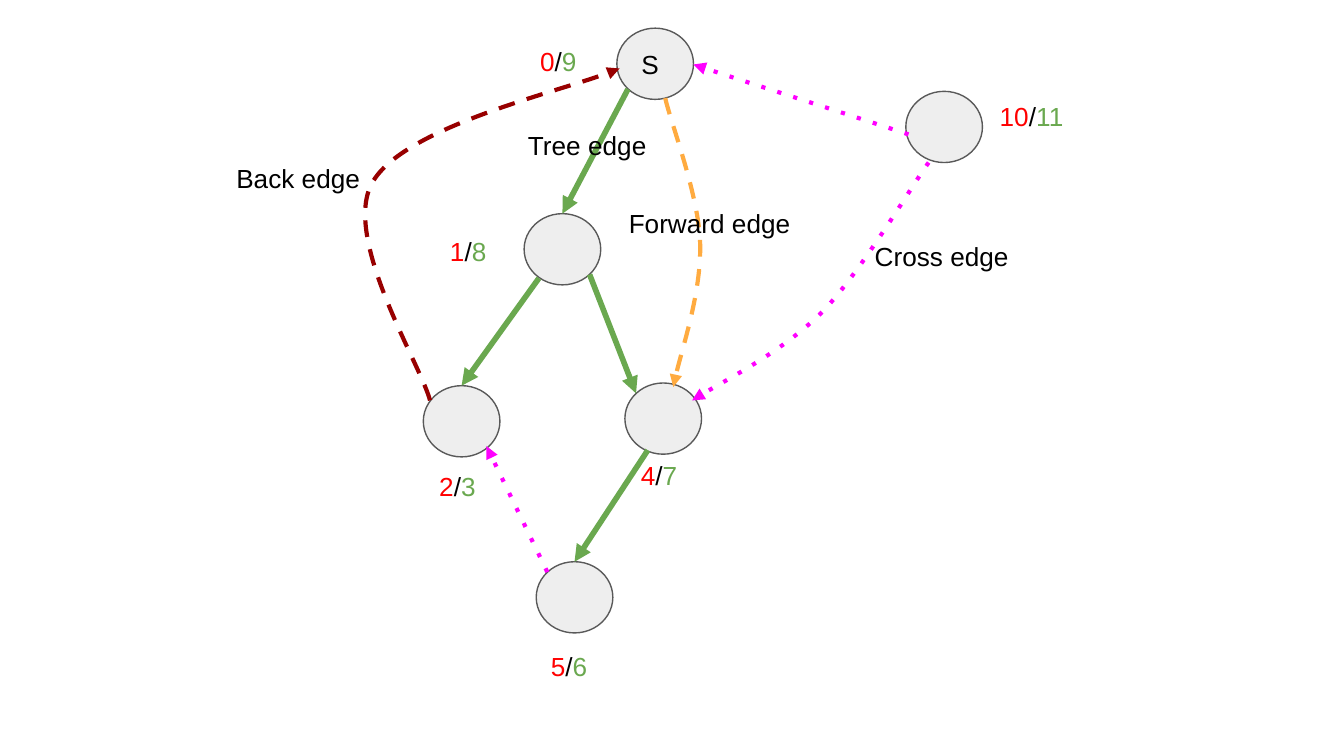
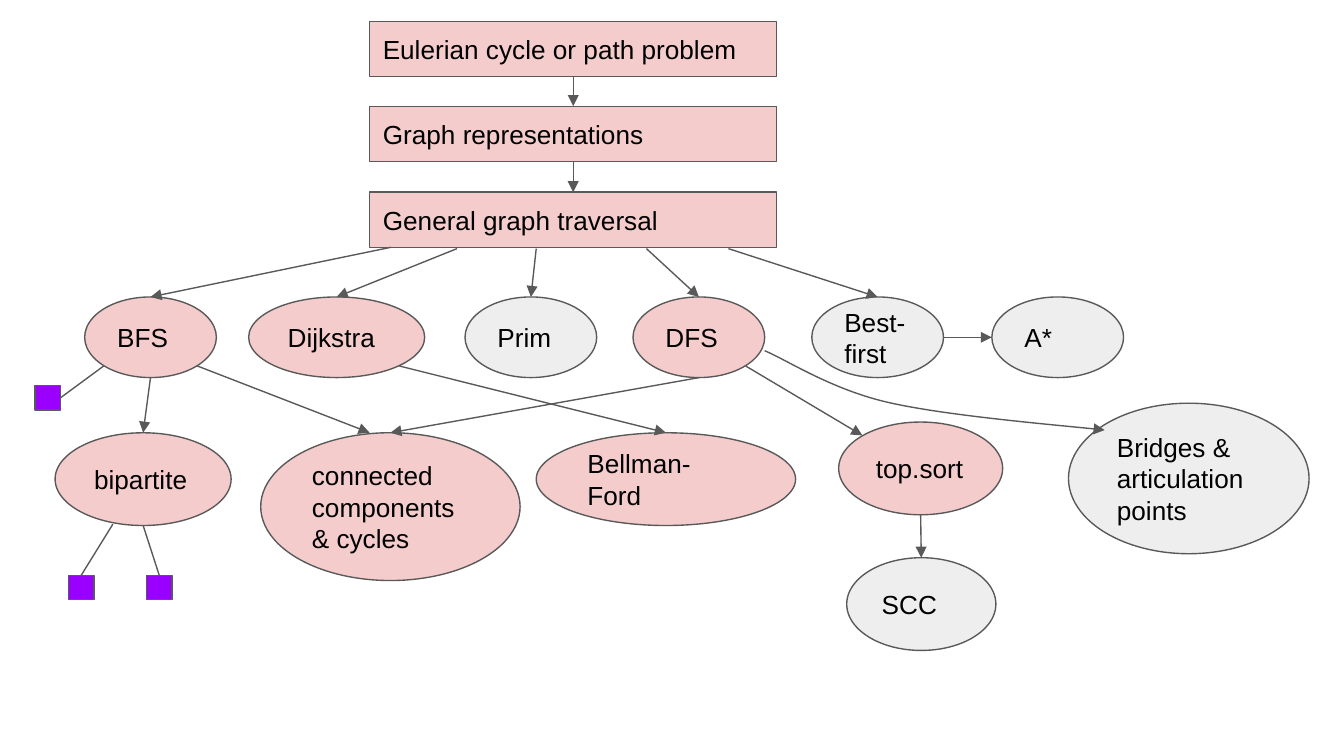
from dataclasses import dataclass
from typing import Optional, Union

from lxml import etree
from pptx import Presentation
from pptx import util as u
from pptx.dml.color import RGBColor
from pptx.enum import shapes, text
from pptx.oxml import ns

FONT, SIZE = "Arial", 14
HEX = {
    "black": "000000", "grey": "595959", "pale": "EEEEEE", "pink": "F4CCCC",
    "violet": "9900FF", "red": "FF0000", "green": "6AA84F", "amber": "FFAB40",
    "brown": "980000", "magenta": "FF00FF",
}
OVAL, RECT = shapes.MSO_SHAPE.OVAL, shapes.MSO_SHAPE.RECTANGLE

# Points on a node's outline, in half widths and half heights from its centre
DIAG = 0.71
SIDES = {
    "top": (0, -1), "left": (-1, 0), "bottom": (0, 1), "right": (1, 0),
    "nw": (-DIAG, -DIAG), "sw": (-DIAG, DIAG), "se": (DIAG, DIAG),
}
GLUE = {"top": 0, "left": 1, "bottom": 2, "right": 3}

Point = tuple[float, float]
End = Union[Point, tuple[str, str]]


@dataclass
class Node:
    x: float
    y: float
    w: float
    h: float
    words: str = ""
    fill: str = "pale"
    form: int = OVAL
    shape: Optional[object] = None

    def spot(self, side: str) -> Point:
        dx, dy = SIDES[side]
        return self.x + self.w / 2 * (1 + dx), self.y + self.h / 2 * (1 + dy)


@dataclass
class Pen:
    color: str
    width: float
    dash: str = ""
    arrow: bool = True


@dataclass
class Edge:
    start: End
    end: End
    pen: Pen


@dataclass
class Curve:
    start: Point
    bends: list[tuple[Point, Point, Point]]
    pen: Pen


Nodes = dict[str, Node]


def rgb(name: str) -> RGBColor:
    return RGBColor.from_string(HEX[name])


def place(x: float, y: float, w: float, h: float) -> list:
    return [u.Inches(v) for v in (x, y, w, h)]


def set_up(frame, anchor):
    """Shared text frame settings; gives the first paragraph."""
    frame.word_wrap = True
    frame.vertical_anchor = anchor
    frame.margin_left = frame.margin_right = u.Inches(0.1)
    frame.margin_top = frame.margin_bottom = u.Inches(0.1)
    para = frame.paragraphs[0]
    para.alignment = text.PP_ALIGN.LEFT
    para.font.name, para.font.size = FONT, u.Pt(SIZE)
    return para


def add_text(slide, x: float, y: float, w: float, h: float,
             runs: list[tuple[str, str]]) -> None:
    box = slide.shapes.add_textbox(*place(x, y, w, h))
    para = set_up(box.text_frame, text.MSO_ANCHOR.TOP)
    for words, color in runs:
        run = para.add_run()
        run.text = words
        run.font.color.rgb = rgb(color)


def add_node(slide, node: Node) -> None:
    shape = slide.shapes.add_shape(node.form, *place(node.x, node.y, node.w, node.h))
    shape.shadow.inherit = False
    shape.fill.solid()
    shape.fill.fore_color.rgb = rgb(node.fill)
    shape.line.color.rgb = rgb("grey")
    shape.line.width = u.Pt(0.75)
    if node.words:
        para = set_up(shape.text_frame, text.MSO_ANCHOR.MIDDLE)
        para.text = node.words
        para.font.color.rgb = rgb("black")
    node.shape = shape


def ink(line, pen: Pen) -> None:
    line.color.rgb = rgb(pen.color)
    line.width = u.Pt(pen.width)
    ln = line._get_or_add_ln()
    if pen.dash:
        etree.SubElement(ln, ns.qn("a:prstDash"), val=pen.dash)
    if pen.arrow:
        etree.SubElement(ln, ns.qn("a:tailEnd"), type="triangle")


def add_edge(slide, nodes: Nodes, edge: Edge) -> None:
    ends = (edge.start, edge.end)
    spots = [nodes[e[0]].spot(e[1]) if isinstance(e[0], str) else e for e in ends]
    (ax, ay), (bx, by) = spots
    wire = slide.shapes.add_connector(
        shapes.MSO_CONNECTOR.STRAIGHT, *place(ax, ay, bx, by))
    for end, join in zip(ends, (wire.begin_connect, wire.end_connect)):
        if isinstance(end[0], str) and nodes[end[0]].form == RECT:
            join(nodes[end[0]].shape, GLUE[end[1]])
    ink(wire.line, edge.pen)
    etree.SubElement(wire._element.spPr, ns.qn("a:effectLst"))


def add_curve(slide, curve: Curve) -> None:
    """Lay out the anchors as a freeform, then turn each segment into a Bézier."""
    anchors = [curve.start] + [bend[2] for bend in curve.bends]
    emu = [(u.Inches(x), u.Inches(y)) for x, y in anchors]
    pen = slide.shapes.build_freeform(*emu[0])
    pen.add_line_segments(emu[1:], close=False)
    shape = pen.convert_to_shape()
    left, top = shape.left, shape.top
    for part, bend in zip(list(shape._element.iter(ns.qn("a:lnTo"))), curve.bends):
        part.tag = ns.qn("a:cubicBezTo")
        for i, (x, y) in enumerate(bend[:2]):
            pt = etree.Element(ns.qn("a:pt"), x=str(u.Inches(x) - left),
                               y=str(u.Inches(y) - top))
            part.insert(i, pt)
    shape.shadow.inherit = False
    shape.fill.background()
    ink(shape.line, curve.pen)


def draw(slide, nodes: Nodes, edges: list[Edge], curves: list[Curve]) -> None:
    for node in nodes.values():
        add_node(slide, node)
    for edge in edges:
        add_edge(slide, nodes, edge)
    for curve in curves:
        add_curve(slide, curve)


def edge_types(slide) -> None:
    """Depth-first search: kinds of edges, with entry and exit times."""
    def ring(x: float, y: float, words: str = "") -> Node:
        return Node(x, y, 0.57, 0.53, words)

    nodes = {
        "0/9": ring(4.59, 0.21, "S"), "1/8": ring(3.9, 1.59),
        "2/3": ring(3.15, 2.87), "4/7": ring(4.65, 2.85),
        "10/11": ring(6.74, 0.68), "5/6": ring(3.99, 4.18),
    }
    tree, cross = Pen("green", 3), Pen("magenta", 2.25, "dot")
    ahead, back = Pen("amber", 2.25, "dash"), Pen("brown", 2.25, "dash")
    edges = [
        Edge(("0/9", "sw"), ("1/8", "top"), tree),
        Edge((4.01, 2.07), ("2/3", "top"), tree),
        Edge(("1/8", "se"), ("4/7", "nw"), tree),
        Edge((4.82, 3.35), ("5/6", "top"), tree),
        Edge(("5/6", "nw"), (3.62, 3.32), cross),
    ]
    curves = [
        Curve((4.95, 0.73), [((4.99, 0.91), (5.2, 1.45), (5.21, 1.81)),
                             ((5.22, 2.17), (5.04, 2.7), (5.01, 2.88))], ahead),
        Curve((3.2, 2.98), [((3.13, 2.71), (2.54, 1.77), (2.77, 1.36)),
                            ((3, 0.95), (4.3, 0.65), (4.61, 0.51))], back),
        Curve((6.76, 1), [((6.49, 0.91), (5.43, 0.57), (5.16, 0.48))], cross),
        Curve((6.91, 1.21), [((6.78, 1.39), (6.41, 2.02), (6.12, 2.32)),
                             ((5.83, 2.61), (5.32, 2.87), (5.15, 2.98))], cross),
    ]
    draw(slide, nodes, edges, curves)

    # Entry and exit times
    spots = [(3.92, 0.24), (3.25, 1.65), (3.17, 3.4), (4.67, 3.32), (7.34, 0.65), (4, 4.74)]
    for times, (x, y) in zip(nodes, spots):
        first, last = times.split("/")
        add_text(slide, x, y, 0.9, 0.42,
                 [(first, "red"), ("/", "black"), (last, "green")])

    # Names of the edges
    for kind, x, y in [("Back", 1.66, 1.11), ("Tree", 3.83, 0.86),
                       ("Forward", 4.58, 1.44), ("Cross", 6.41, 1.69)]:
        add_text(slide, x, y, 1.48, 0.52, [(f"{kind} edge", "black")])


def topic_map(slide) -> None:
    """Course topics, from graph basics to the algorithms."""
    def bar(y: float, words: str) -> Node:
        return Node(2.75, y, 3.03, 0.41, words, "pink", RECT)

    def algo(x: float, words: str, fill: str = "pink", w: float = 0.98) -> Node:
        return Node(x, 2.21, w, 0.6, words, fill)

    def chip(x: float, y: float) -> Node:
        return Node(x, y, 0.19, 0.18, "", "violet", RECT)

    nodes = {
        "euler": bar(0.16, "Eulerian cycle or path problem"),
        "repr": bar(0.79, "Graph representations"),
        "general": bar(1.43, "General graph traversal"),
        "bfs": algo(0.63, "BFS"),
        "dijkstra": algo(1.85, "Dijkstra", w=1.31),
        "prim": algo(3.46, "Prim", "pale"),
        "dfs": algo(4.71, "DFS"),
        "best": algo(6.04, "Best-first", "pale"),
        "star": algo(7.38, "A*", "pale"),
        "bipartite": Node(0.41, 3.22, 1.31, 0.69, "bipartite", "pink"),
        "cycles": Node(1.94, 3.22, 1.93, 1.1, "connected\vcomponents & cycles", "pink"),
        "bellman": Node(3.99, 3.22, 1.93, 0.69, "Bellman-Ford", "pink"),
        "sort": Node(6.24, 3.14, 1.22, 0.69, "top.sort", "pink"),
        "scc": Node(6.3, 4.15, 1.11, 0.69, "SCC"),
        "bridges": Node(7.95, 3, 1.79, 1.12, "Bridges & articulation points"),
        "chip1": chip(0.51, 4.28), "chip2": chip(1.09, 4.28), "chip3": chip(0.26, 2.87),
    }
    arrow, plain = Pen("grey", 0.75), Pen("grey", 0.75, arrow=False)
    links = [
        (("euler", "bottom"), ("repr", "top")),
        (("repr", "bottom"), ("general", "top")),
        ((2.91, 1.84), ("bfs", "top")),
        ((3.4, 1.85), ("dijkstra", "top")),
        ((3.99, 1.85), ("prim", "top")),
        ((4.81, 1.85), ("dfs", "top")),
        ((5.42, 1.85), ("best", "top")),
        (("best", "right"), ("star", "left")),
        (("bfs", "bottom"), ("bipartite", "top")),
        (("bfs", "se"), (2.75, 3.22)),
        (("dfs", "bottom"), ("cycles", "top")),
        (("dijkstra", "se"), ("bellman", "top")),
        (("dfs", "se"), ("sort", "nw")),
        (("sort", "bottom"), ("scc", "top")),
    ]
    ties = [
        (("chip1", "top"), (0.84, 3.9)),
        (("chip2", "top"), ("bipartite", "bottom")),
        (("chip3", "right"), ("bfs", "sw")),
    ]
    edges = [Edge(a, b, arrow) for a, b in links] + [Edge(a, b, plain) for a, b in ties]
    curve = Curve((5.69, 2.61), [((5.84, 2.67), (6.17, 2.89), (6.59, 2.99)),
                                 ((7.01, 3.09), (7.95, 3.17), (8.22, 3.2))], arrow)
    draw(slide, nodes, edges, [curve])


def main() -> None:
    deck = Presentation()
    deck.slide_width = u.Inches(10)
    deck.slide_height = deck.slide_width * 9 // 16
    blank = deck.slide_layouts[6]
    for build in (edge_types, topic_map):
        build(deck.slides.add_slide(blank))
    deck.save("out.pptx")


if __name__ == "__main__":
    main()
